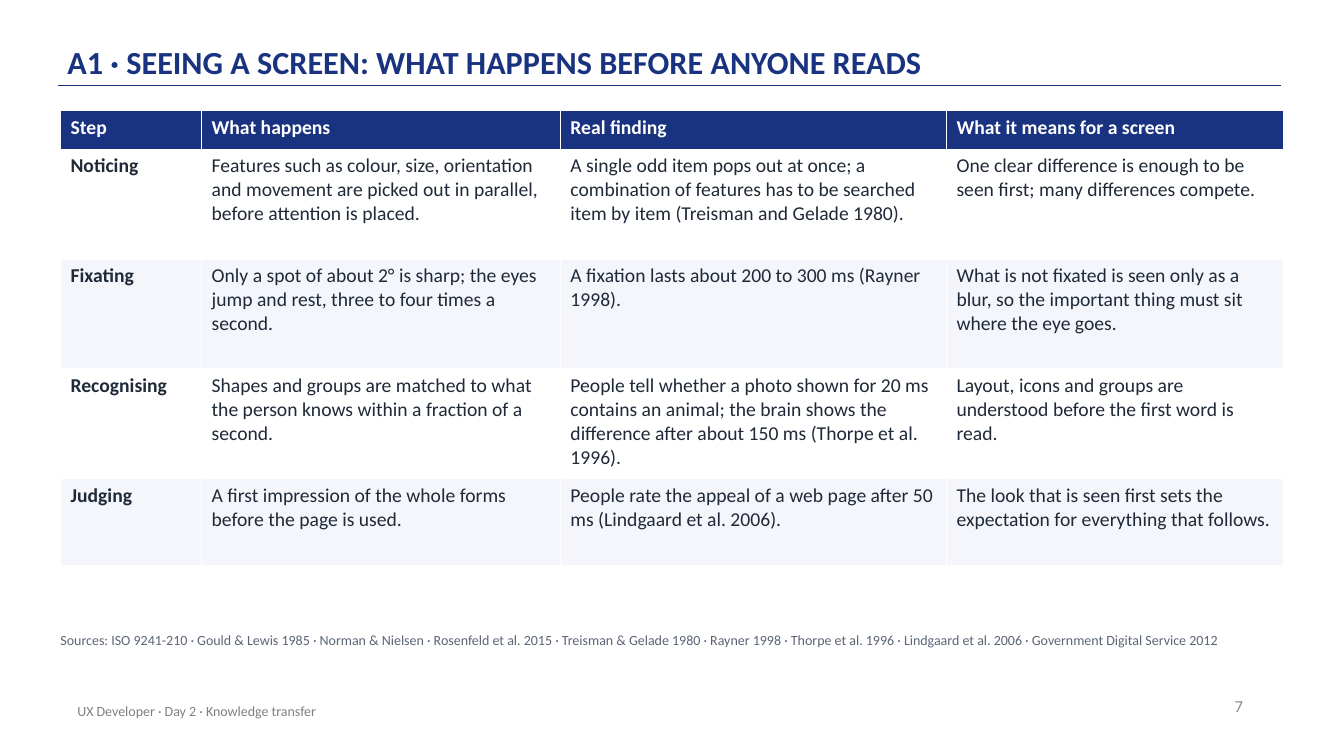
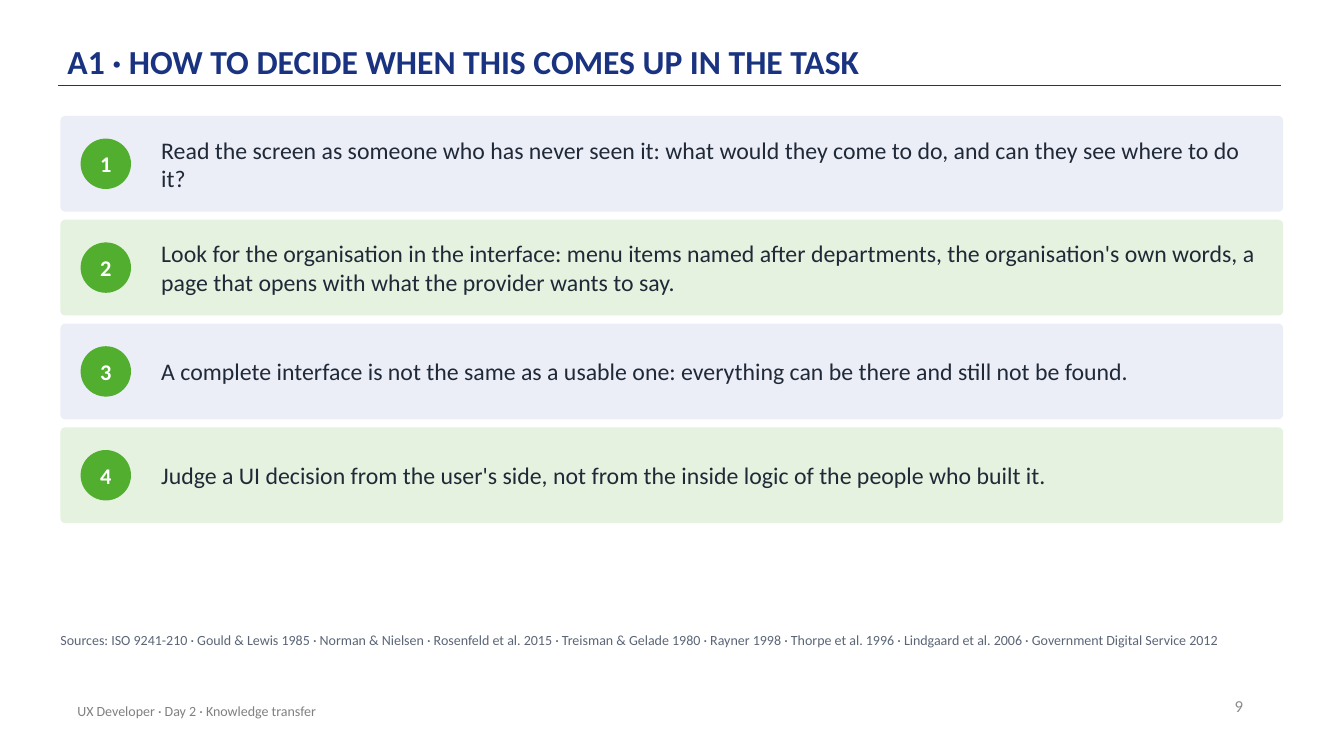
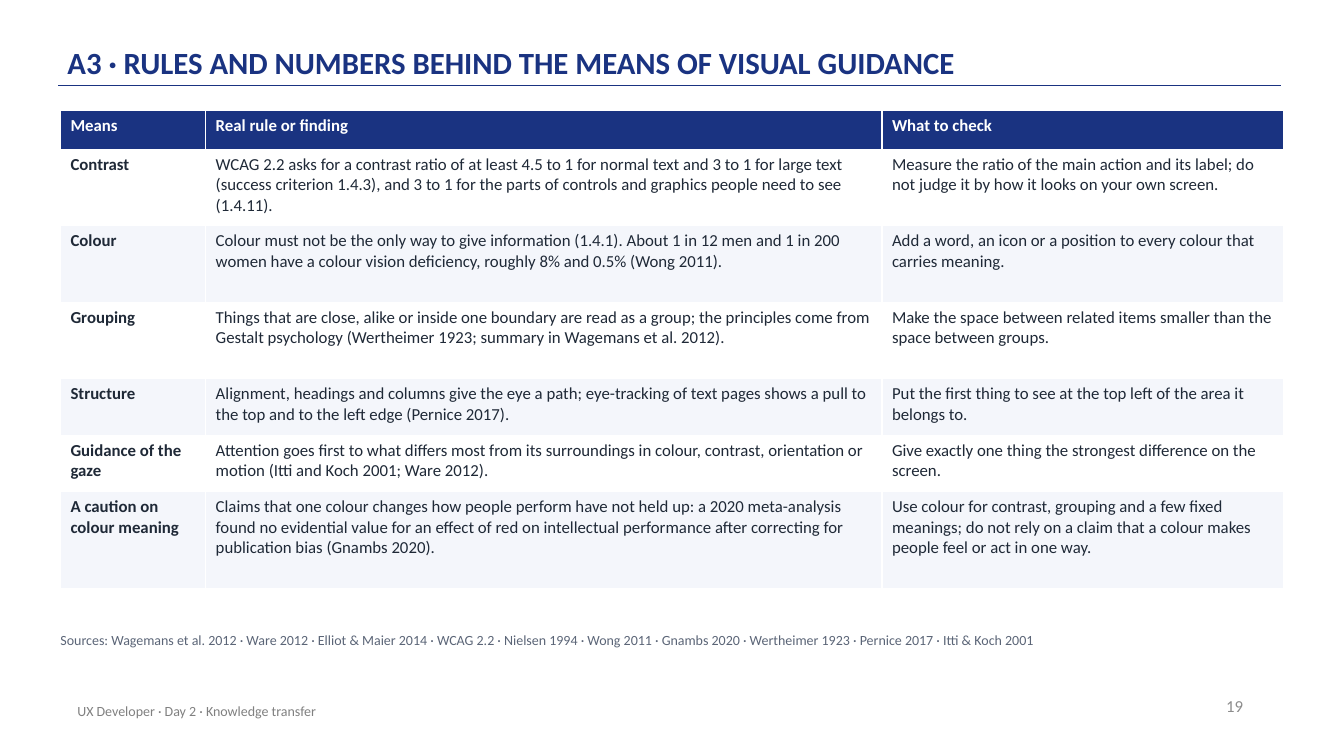
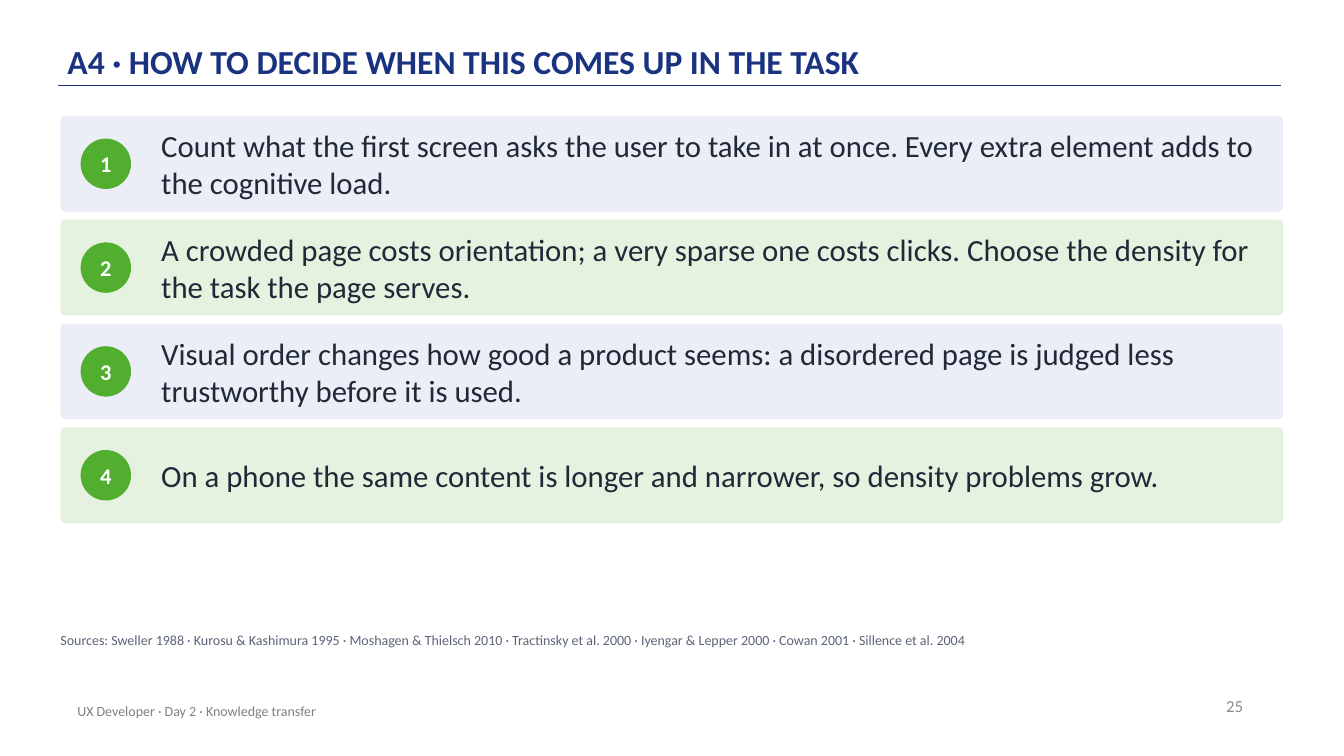
from pptx import Presentation
from pptx import util as u
from pptx.dml import color
from pptx.enum import shapes, text
from pptx.oxml import ns
from lxml import etree

Pt = u.Pt
COLOURS = {
    "navy": "1A3381", "green": "51AE2F", "ink": "1F2937", "white": "FFFFFF",
    "stripe": "F4F6FB", "blue_card": "ECEEF7", "green_card": "E5F2DF",
    "source": "5B6577", "footer": "808080", "number": "8C8C8C",
}
LEFT, WIDTH = 43.2, 873.4
NO_INSETS = (0, 0, 0, 0)
MIDDLE = text.MSO_ANCHOR.MIDDLE
ALIGN = text.PP_ALIGN


def rgb(name):
    return color.RGBColor.from_string(COLOURS[name])


class Slides:
    """Holds the shared style and the current slide."""

    footer = "UX Developer · Day 2 · Knowledge transfer"

    def __init__(self):
        self.deck = Presentation()
        self.deck.slide_width, self.deck.slide_height = Pt(960), Pt(540)
        self.page = None

    def add_words(self, frame, words, size, colour, bold=False, para_format=None):
        para = frame.paragraphs[0]
        for name, value in (para_format or {}).items():
            setattr(para, name, value)
        span = para.add_run()
        span.text = words
        font_format = {"name": "Calibri", "size": Pt(size), "bold": bold}
        for name, value in font_format.items():
            setattr(span.font, name, value)
        span.font.color.rgb = rgb(colour)

    def set_frame(self, frame, anchor, insets):
        left, top, right, bottom = (Pt(inset) for inset in insets)
        frame_format = {
            "word_wrap": True, "vertical_anchor": anchor,
            "margin_left": left, "margin_top": top,
            "margin_right": right, "margin_bottom": bottom,
        }
        for name, value in frame_format.items():
            setattr(frame, name, value)

    def text_box(self, place, words, size, colour, bold=False, anchor=MIDDLE,
                 insets=(7.2, 3.6, 7.2, 3.6), para_format=None):
        box = self.page.shapes.add_textbox(*(Pt(length) for length in place))
        self.set_frame(box.text_frame, anchor, insets)
        self.add_words(box.text_frame, words, size, colour, bold, para_format)

    def shape(self, kind, place, fill):
        shape = self.page.shapes.add_shape(kind, *(Pt(length) for length in place))
        shape.shadow.inherit = False
        shape.fill.solid()
        shape.fill.fore_color.rgb = rgb(fill)
        shape.line.fill.background()
        return shape

    def rule(self, start, end, y):
        line = self.page.shapes.add_connector(
            shapes.MSO_CONNECTOR.STRAIGHT, Pt(start), Pt(y), Pt(end), Pt(y))
        line.line.color.rgb = rgb("navy")
        line.line.width = Pt(1)
        etree.SubElement(line._element.spPr, ns.qn("a:effectLst"))

    def new_page(self, number, title, title_size, sources):
        self.page = self.deck.slides.add_slide(self.deck.slide_layouts[6])
        # Title and rule
        self.rule(41.8, 915.1, 61.2)
        self.text_box((48.2, 8.6, 792, 51.8), title, title_size, "navy", bold=True,
                      anchor=text.MSO_ANCHOR.BOTTOM, insets=(0, 2.2, 0, 2.2),
                      para_format={"line_spacing": 0.9})
        # Sources, footer and page number
        self.text_box((LEFT, 451.4, 871.2, 21.6), "Sources: " + " · ".join(sources),
                      10, "source", anchor=text.MSO_ANCHOR.TOP, insets=NO_INSETS,
                      para_format={"space_after": Pt(6)})
        self.text_box((48.2, 493.2, 482.4, 28.8), self.footer, 10, "footer")
        self.text_box((679, 489.6, 216, 28.8), str(number), 12, "number",
                      para_format={"alignment": ALIGN.RIGHT})

    def table(self, size, widths, heights, rows):
        table = self.page.shapes.add_table(
            len(heights), len(widths), Pt(LEFT), Pt(79.2),
            Pt(sum(widths)), Pt(sum(heights))).table
        table.horz_banding = False
        for column, width in zip(table.columns, widths):
            column.width = Pt(width)
        for row_no, (height, row) in enumerate(zip(heights, rows)):
            table.rows[row_no].height = Pt(height)
            header = row_no == 0
            fill = "navy" if header else ("stripe", "white")[row_no % 2]
            for column_no, words in enumerate(row):
                cell = table.cell(row_no, column_no)
                cell.fill.solid()
                cell.fill.fore_color.rgb = rgb(fill)
                self.add_words(cell.text_frame, words, size,
                               "white" if header else "ink",
                               bold=header or column_no == 0)

    def numbered_cards(self, size, sentences):
        height, gap, badge_size = 68.4, 5.76, 36
        for index, sentence in enumerate(sentences):
            top = 82.8 + index * (height + gap)
            card = self.shape(shapes.MSO_SHAPE.ROUNDED_RECTANGLE,
                              (LEFT, top, WIDTH, height),
                              ("blue_card", "green_card")[index % 2])
            card.adjustments[0] = 0.05
            badge = self.shape(shapes.MSO_SHAPE.OVAL,
                               (57.6, top + (height - badge_size) / 2,
                                badge_size, badge_size), "green")
            self.set_frame(badge.text_frame, MIDDLE, NO_INSETS)
            self.add_words(badge.text_frame, str(index + 1), 16, "white", bold=True,
                           para_format={"alignment": ALIGN.CENTER})
            self.text_box((115.2, top, 787, height), sentence, size, "ink",
                          insets=NO_INSETS)


def main():
    slides = Slides()
    seeing_sources = [
        "ISO 9241-210", "Gould & Lewis 1985", "Norman & Nielsen",
        "Rosenfeld et al. 2015", "Treisman & Gelade 1980", "Rayner 1998",
        "Thorpe et al. 1996", "Lindgaard et al. 2006",
        "Government Digital Service 2012",
    ]
    decide = "HOW TO DECIDE WHEN THIS COMES UP IN THE TASK"

    # Seeing a screen
    slides.new_page(7, "A1 · SEEING A SCREEN: WHAT HAPPENS BEFORE ANYONE READS", 23,
                    seeing_sources)
    slides.table(14, [100.8, 256.3, 275.8, 240.5], [27.4, 78.5, 78.5, 78.5, 61.9], [
        ("Step", "What happens", "Real finding", "What it means for a screen"),
        ("Noticing",
         "Features such as colour, size, orientation and movement are picked out in "
         "parallel, before attention is placed.",
         "A single odd item pops out at once; a combination of features has to be "
         "searched item by item (Treisman and Gelade 1980).",
         "One clear difference is enough to be seen first; many differences compete."),
        ("Fixating",
         "Only a spot of about 2° is sharp; the eyes jump and rest, three to four "
         "times a second.",
         "A fixation lasts about 200 to 300 ms (Rayner 1998).",
         "What is not fixated is seen only as a blur, so the important thing must sit "
         "where the eye goes."),
        ("Recognising",
         "Shapes and groups are matched to what the person knows within a fraction of "
         "a second.",
         "People tell whether a photo shown for 20 ms contains an animal; the brain "
         "shows the difference after about 150 ms (Thorpe et al. 1996).",
         "Layout, icons and groups are understood before the first word is read."),
        ("Judging",
         "A first impression of the whole forms before the page is used.",
         "People rate the appeal of a web page after 50 ms (Lindgaard et al. 2006).",
         "The look that is seen first sets the expectation for everything that "
         "follows."),
    ])

    # Deciding about the interface
    slides.new_page(9, "A1 · " + decide, 24, seeing_sources)
    slides.numbered_cards(17, [
        "Read the screen as someone who has never seen it: what would they come to do, "
        "and can they see where to do it?",
        "Look for the organisation in the interface: menu items named after "
        "departments, the organisation's own words, a page that opens with what the "
        "provider wants to say.",
        "A complete interface is not the same as a usable one: everything can be there "
        "and still not be found.",
        "Judge a UI decision from the user's side, not from the inside logic of the "
        "people who built it.",
    ])

    # Visual guidance
    slides.new_page(19, "A3 · RULES AND NUMBERS BEHIND THE MEANS OF VISUAL GUIDANCE", 22, [
        "Wagemans et al. 2012", "Ware 2012", "Elliot & Maier 2014", "WCAG 2.2",
        "Nielsen 1994", "Wong 2011", "Gnambs 2020", "Wertheimer 1923",
        "Pernice 2017", "Itti & Koch 2001",
    ])
    slides.table(12, [103.7, 483.1, 286.6], [27.4, 54.7, 54.7, 54.7, 40.3, 40.3, 69.1], [
        ("Means", "Real rule or finding", "What to check"),
        ("Contrast",
         "WCAG 2.2 asks for a contrast ratio of at least 4.5 to 1 for normal text and "
         "3 to 1 for large text (success criterion 1.4.3), and 3 to 1 for the parts of "
         "controls and graphics people need to see (1.4.11).",
         "Measure the ratio of the main action and its label; do not judge it by how "
         "it looks on your own screen."),
        ("Colour",
         "Colour must not be the only way to give information (1.4.1). About 1 in 12 "
         "men and 1 in 200 women have a colour vision deficiency, roughly 8% and 0.5% "
         "(Wong 2011).",
         "Add a word, an icon or a position to every colour that carries meaning."),
        ("Grouping",
         "Things that are close, alike or inside one boundary are read as a group; the "
         "principles come from Gestalt psychology (Wertheimer 1923; summary in "
         "Wagemans et al. 2012).",
         "Make the space between related items smaller than the space between groups."),
        ("Structure",
         "Alignment, headings and columns give the eye a path; eye-tracking of text "
         "pages shows a pull to the top and to the left edge (Pernice 2017).",
         "Put the first thing to see at the top left of the area it belongs to."),
        ("Guidance of the gaze",
         "Attention goes first to what differs most from its surroundings in colour, "
         "contrast, orientation or motion (Itti and Koch 2001; Ware 2012).",
         "Give exactly one thing the strongest difference on the screen."),
        ("A caution on colour meaning",
         "Claims that one colour changes how people perform have not held up: a 2020 "
         "meta-analysis found no evidential value for an effect of red on intellectual "
         "performance after correcting for publication bias (Gnambs 2020).",
         "Use colour for contrast, grouping and a few fixed meanings; do not rely on a "
         "claim that a colour makes people feel or act in one way."),
    ])

    # Deciding about density
    slides.new_page(25, "A4 · " + decide, 24, [
        "Sweller 1988", "Kurosu & Kashimura 1995", "Moshagen & Thielsch 2010",
        "Tractinsky et al. 2000", "Iyengar & Lepper 2000", "Cowan 2001",
        "Sillence et al. 2004",
    ])
    slides.numbered_cards(22, [
        "Count what the first screen asks the user to take in at once. Every extra "
        "element adds to the cognitive load.",
        "A crowded page costs orientation; a very sparse one costs clicks. Choose the "
        "density for the task the page serves.",
        "Visual order changes how good a product seems: a disordered page is judged "
        "less trustworthy before it is used.",
        "On a phone the same content is longer and narrower, so density problems grow.",
    ])

    slides.deck.save("out.pptx")


if __name__ == "__main__":
    main()
